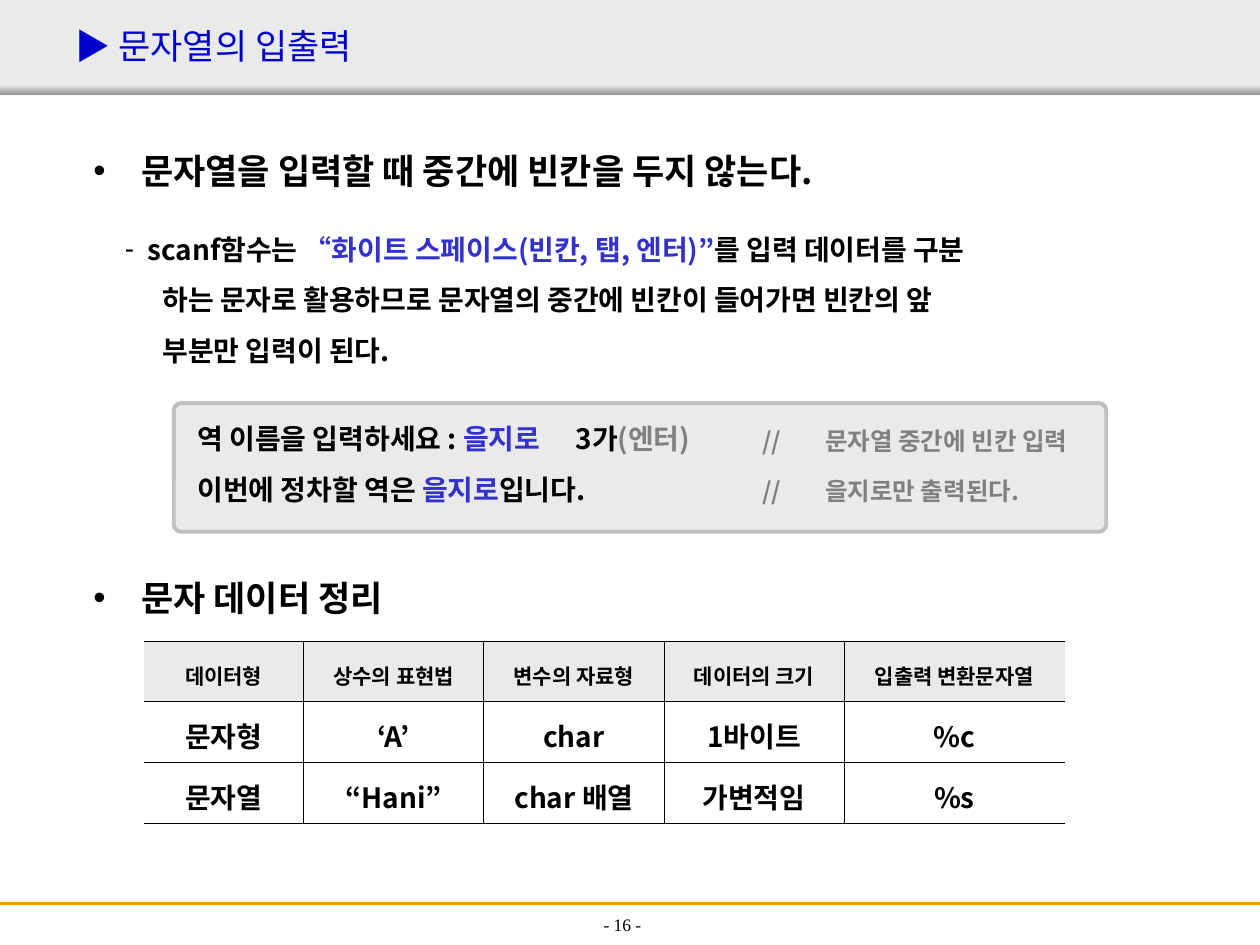
from lxml.etree import SubElement
from pptx import Presentation
from pptx.dml.color import RGBColor
from pptx.enum.shapes import MSO_CONNECTOR, MSO_SHAPE
from pptx.enum.text import MSO_ANCHOR, MSO_AUTO_SIZE, PP_ALIGN
from pptx.oxml.ns import qn
from pptx.util import Inches, Pt

KOREAN = "Noto Sans CJK KR"
BLACK, BLUE, GREY, PANEL = "000000", "3333CC", "808080", "EAEAEA"


def color(hex_value):
    """Turn a hex string into a colour."""
    return RGBColor.from_string(hex_value)


def inches(box):
    """Turn a box of numbers into lengths."""
    return [Inches(length) for length in box]


def add_node(parent, tag, **attributes):
    """Append a drawing element with its attributes."""
    return SubElement(parent, qn(f"a:{tag}"), attributes)


def write_runs(paragraph, runs, size, bold=True, font=KOREAN):
    """Add (text, colour) runs in one font and size."""
    for words, ink in runs:
        run = paragraph.add_run()
        run.text = words
        style = {"size": Pt(size), "bold": bold, "name": font}
        for key, value in style.items():
            setattr(run.font, key, value)
        run.font.color.rgb = color(ink)
        add_node(run.font._element, "ea", typeface=font)


def format_paragraph(paragraph, margin=0, indent=0, bullet=None, tab=None, **formats):
    """Set the indents, bullet, tab stop and other formats of a paragraph."""
    properties = paragraph._p.get_or_add_pPr()
    properties.set("marL", str(Inches(margin)))
    properties.set("indent", str(Inches(indent)))
    if bullet:
        add_node(add_node(properties, "buClr"), "srgbClr", val=BLACK)
        add_node(properties, "buChar", char=bullet)
    else:
        add_node(properties, "buNone")
    if tab:
        stops = add_node(properties, "tabLst")
        add_node(stops, "tab", pos=str(Inches(tab)), algn="l")
    for key, value in formats.items():
        setattr(paragraph, key, value)


def fill_text(shape, lines, wrap=True, anchor=MSO_ANCHOR.TOP):
    """Write (runs, size, formats) lines into a shape."""
    frame = shape.text_frame
    settings = {"word_wrap": wrap, "auto_size": MSO_AUTO_SIZE.NONE, "vertical_anchor": anchor}
    for key, value in settings.items():
        setattr(frame, key, value)
    for number, (runs, size, formats) in enumerate(lines):
        paragraph = frame.add_paragraph() if number else frame.paragraphs[0]
        format_paragraph(paragraph, **formats)
        write_runs(paragraph, runs, size)


def place(shape, box):
    """Move a placeholder into a box."""
    for key, value in zip(("left", "top", "width", "height"), inches(box)):
        setattr(shape, key, value)


def add_header(slide, box):
    """Draw the title band with its shaded lower edge."""
    left, top, width, height = box
    edge = slide.shapes.add_shape(MSO_SHAPE.RECTANGLE, *inches((left, top + height - 0.01, width, 0.08)))
    edge.fill.gradient()
    edge.fill.gradient_angle = 270
    for stop, shade in zip(edge.fill.gradient_stops, ("ECECEC", "979797")):
        stop.color.rgb = color(shade)
    band = slide.shapes.add_shape(MSO_SHAPE.RECTANGLE, *inches(box))
    band.fill.solid()
    band.fill.fore_color.rgb = color(PANEL)
    for part in (edge, band):
        part.line.fill.background()
        part.shadow.inherit = False

    title = slide.shapes.title
    title.element.getparent().append(title.element)
    place(title, (left + 0.5, top + 0.13, 7.1, 0.47))
    title.text_frame.vertical_anchor = MSO_ANCHOR.MIDDLE
    heading = title.text_frame.paragraphs[0]
    format_paragraph(heading, alignment=PP_ALIGN.LEFT)
    write_runs(heading, [("▶ 문자열의 입출력", "0000CC")], 20, bold=False)


def add_list(placeholder, box, heading, details=()):
    """Fill a body placeholder with a bulleted heading and detail lines."""
    place(placeholder, box)
    bullet = {"margin": 0.38, "indent": -0.38, "bullet": "•", "line_spacing": 1.2, "space_before": Pt(0)}
    fill_text(placeholder, [([(heading, BLACK)], 20, bullet), *details])


def add_example(slide, box):
    """Draw the console sample and its comments in a rounded panel."""
    left, top, width, height = box
    panel = slide.shapes.add_shape(MSO_SHAPE.ROUNDED_RECTANGLE, *inches(box))
    panel.adjustments[0] = 0.055
    panel.fill.solid()
    panel.fill.fore_color.rgb = color(PANEL)
    panel.line.color.rgb = color("C0C0C0")
    panel.line.width = Pt(2.25)
    panel.shadow.inherit = False

    console = slide.shapes.add_textbox(*inches((left + 0.09, top + 0.02, 5.73, 0.85)))
    prompt = [("역 이름을 입력하세요 : ", BLACK), ("을지로\t", BLUE), ("3가", BLACK), ("(엔터)", GREY)]
    answer = [("이번에 정차할 역은 ", BLACK), ("을지로", BLUE), ("입니다.", BLACK)]
    fill_text(console, [(prompt, 16, {"tab": 3.04, "line_spacing": 1.3}),
                        (answer, 16, {"line_spacing": 1.5})])

    comments = slide.shapes.add_textbox(*inches((left + 4.57, top + 0.13, 2.43, 0.73)))
    fill_text(comments, [([("//\t문자열 중간에 빈칸 입력", GREY)], 14, {"tab": 0.28}),
                         ([("//\t을지로만 출력된다.", GREY)], 14, {"tab": 0.28, "line_spacing": 1.7})],
              wrap=False)


def add_border(cell, side, visible):
    """Draw or hide one border of a cell."""
    border = add_node(cell._tc.get_or_add_tcPr(), f"ln{side}", w=str(Pt(0.45)))
    if visible:
        add_node(add_node(border, "solidFill"), "srgbClr", val=BLACK)
    else:
        add_node(border, "noFill")


def add_summary(slide, box, widths, rows):
    """Build the table of character data, open at both sides."""
    table = slide.shapes.add_table(len(rows), len(widths), *inches(box)).table
    table.first_row = table.horz_banding = False
    for column, width in zip(table.columns, widths):
        column.width = Inches(width)
    for r, row in enumerate(rows):
        size, spacing = (16, 1.2) if r else (12, 1.4)
        for c, words in enumerate(row):
            cell = table.cell(r, c)
            sides = {"L": c > 0, "R": c < len(row) - 1, "T": True, "B": True}
            for side, visible in sides.items():
                add_border(cell, side, visible)
            if r:
                cell.fill.background()
            else:
                cell.fill.solid()
                cell.fill.fore_color.rgb = color(PANEL)
            paragraph = cell.text_frame.paragraphs[0]
            format_paragraph(paragraph, alignment=PP_ALIGN.CENTER, line_spacing=spacing)
            write_runs(paragraph, [(words, BLACK)], size)


def add_footer(slide, box):
    """Draw the footer rule and the page number."""
    left, top, width, height = box
    rule = slide.shapes.add_connector(MSO_CONNECTOR.STRAIGHT, *inches((left, top, left + width, top)))
    rule.line.color.rgb = color("FF9900")
    rule.line.width = Pt(1.5)
    add_node(rule.element.spPr, "effectLst")
    page = slide.shapes.add_textbox(*inches((left + 3.41, top + 0.08, 3.06, height)))
    page.text_frame.vertical_anchor = MSO_ANCHOR.MIDDLE
    page.text_frame.word_wrap = True
    number = page.text_frame.paragraphs[0]
    number.alignment = PP_ALIGN.CENTER
    write_runs(number, [("- 16 -", BLACK)], 10, bold=False, font="Times New Roman")


def main():
    """Build the slide and save it."""
    deck = Presentation()
    deck.slide_width, deck.slide_height = inches((10, 7.5))
    slide = deck.slides.add_slide(deck.slide_layouts[3])
    rules, summary = slide.placeholders[1], slide.placeholders[2]

    scanf = [("scanf함수는 ", BLACK), ("“화이트 스페이스(빈칸, 탭, 엔터)”", BLUE), ("를 입력 데이터를 구분", BLACK)]
    dash = {"margin": 0.43, "indent": -0.18, "bullet": "-", "line_spacing": 2.0, "space_before": Pt(4)}
    follow = {"margin": 0.55, "line_spacing": 1.3, "space_before": Pt(4)}
    details = [(scanf, 16, dash)]
    for words in ("하는 문자로 활용하므로 문자열의 중간에 빈칸이 들어가면 빈칸의 앞", "부분만 입력이 된다."):
        details.append(([(words, BLACK)], 16, follow))

    add_header(slide, (0, 0, 10, 0.68))
    add_list(rules, (0.64, 1.07, 8.85, 2.13), "문자열을 입력할 때 중간에 빈칸을 두지 않는다.", details)
    add_example(slide, (1.38, 3.2, 7.4, 1.02))
    add_list(summary, (0.64, 4.46, 8.85, 0.63), "문자 데이터 정리")
    add_summary(slide, (1.14, 5.09, 7.31, 1.42), (1.27, 1.43, 1.43, 1.43, 1.75), [
        ("데이터형", "상수의 표현법", "변수의 자료형", "데이터의 크기", "입출력 변환문자열"),
        ("문자형", "‘A’", "char", "1바이트", "%c"),
        ("문자열", "“Hani”", "char 배열", "가변적임", "%s")])
    add_footer(slide, (0, 7.17, 10, 0.17))
    deck.save("out.pptx")


if __name__ == "__main__":
    main()
